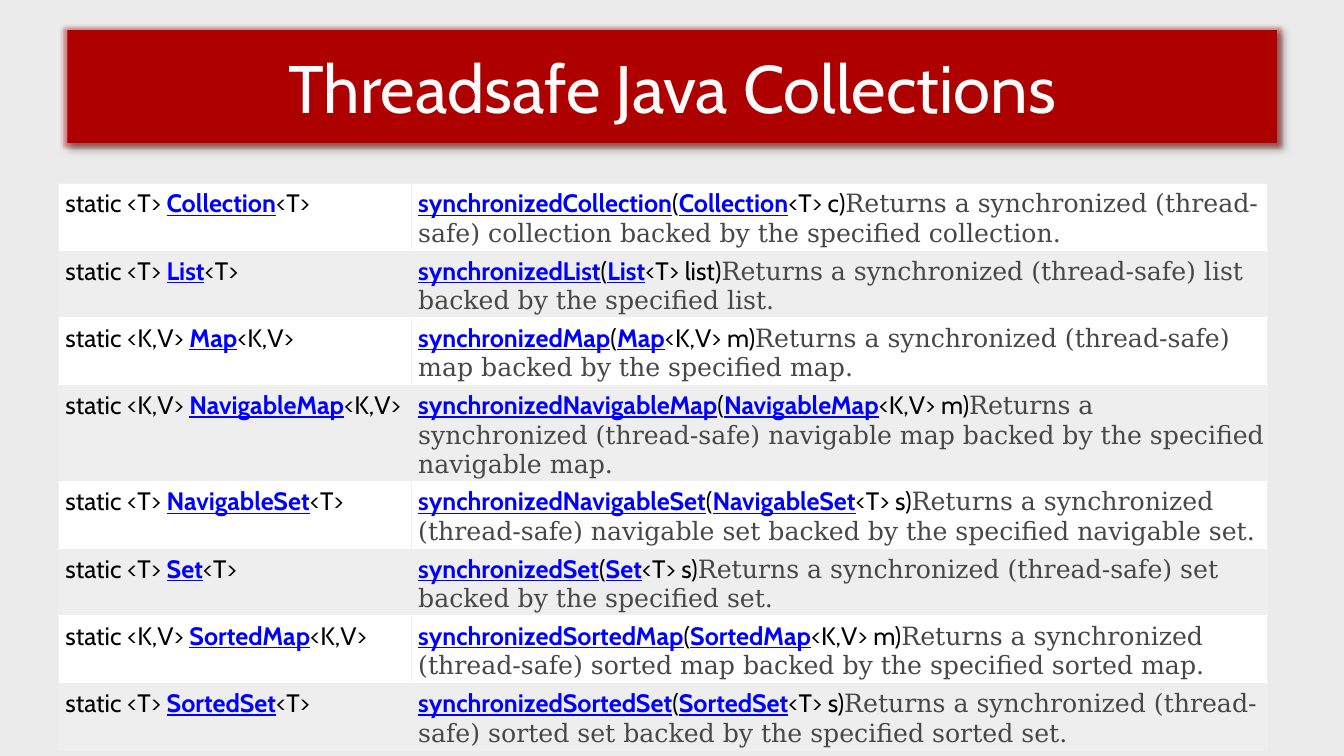
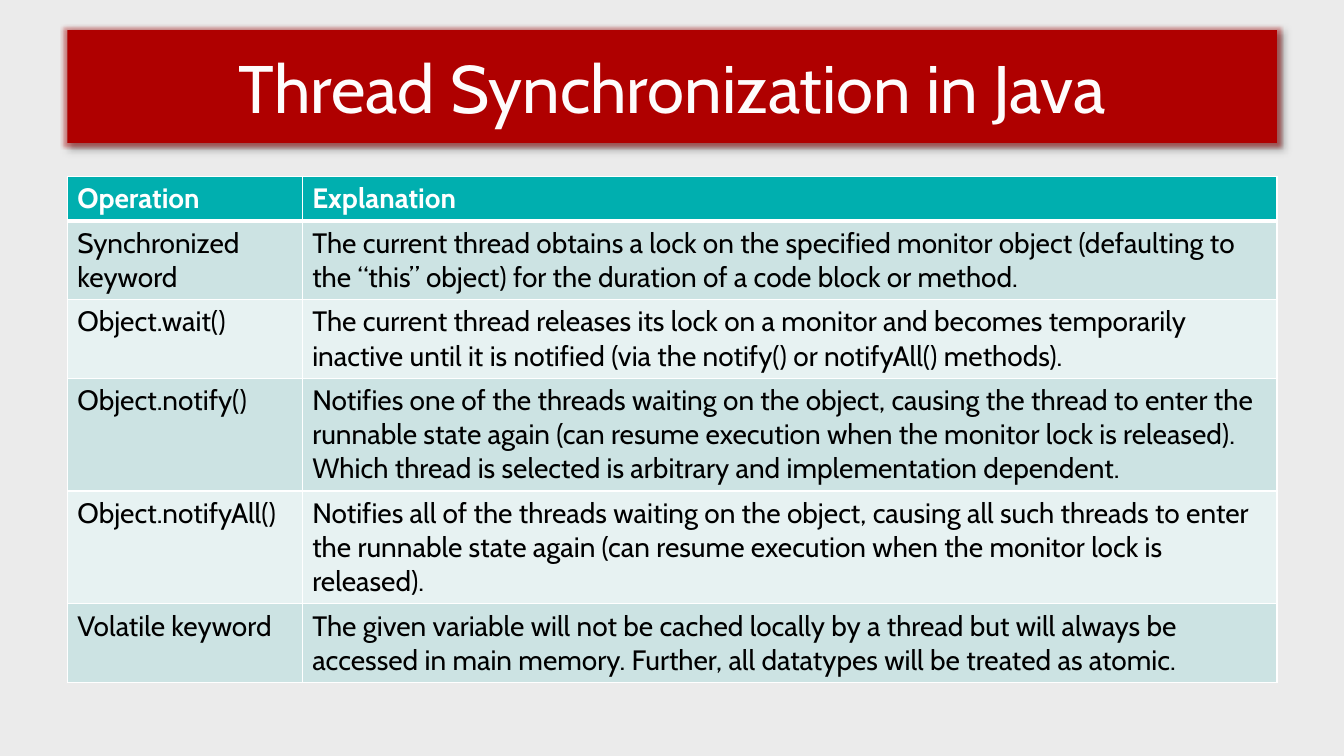
import dataclasses
import typing

import lxml.etree
import pptx
import pptx.dml.color
import pptx.enum.text
import pptx.oxml.ns
import pptx.util

Cm = pptx.util.Cm
Pt = pptx.util.Pt
qn = pptx.oxml.ns.qn


@dataclasses.dataclass(frozen=True)
class Theme:
    background: str = "EBEBEB"
    banner: str = "AF0000"
    shadow: str = "000000"
    title: str = "FEFCFC"
    white: str = "FFFFFF"
    text: str = "000000"
    link: str = "0000FF"
    description: str = "474747"
    grid: str = "EEEEEE"
    listing_bands: tuple[str, str] = ("FFFFFF", "EEEEEF")
    header: str = "00AFAF"
    operation_bands: tuple[str, str] = ("CCE3E3", "E7F2F2")
    sans: str = "Cabin"
    serif: str = "DejaVu Serif"
    title_size: float = 48
    listing_size: float = 18
    operation_size: float = 20


THEME = Theme()


@dataclasses.dataclass(frozen=True)
class Span:
    text: str
    color: str = THEME.text
    font: str = THEME.sans
    bold: bool = False
    underline: bool = False


@dataclasses.dataclass(frozen=True)
class Row:
    cells: tuple[list[Span], list[Span]]
    height: float
    fill: str
    bottom_border: float


@dataclasses.dataclass(frozen=True)
class TableStyle:
    left: float
    top: float
    columns: tuple[float, float]
    margins: tuple[float, float, float, float]
    text_size: float
    border_color: str
    border_width: float


@dataclasses.dataclass(frozen=True)
class Wrapper:
    kind: str
    generic: str
    parameter: str
    noun: str
    height: float = 1.63


@dataclasses.dataclass(frozen=True)
class Operation:
    name: str
    explanation: str
    height: float = 1.78


LISTING = TableStyle(
    left=1.47, top=4.62, columns=(8.89, 21.59),
    margins=(0.18, 0.13, 0.05, 0.05), text_size=THEME.listing_size,
    border_color=THEME.grid, border_width=0.75,
)
OPERATION_TABLE = TableStyle(
    left=1.7, top=4.45, columns=(5.92, 24.56),
    margins=(0.25, 0.13, 0.25, 0.13), text_size=THEME.operation_size,
    border_color=THEME.white, border_width=1,
)

WRAPPERS = [
    Wrapper("Collection", "<T>", "c", "collection"),
    Wrapper("List", "<T>", "list", "list"),
    Wrapper("Map", "<K,V>", "m", "map"),
    Wrapper("NavigableMap", "<K,V>", "m", "navigable map", height=2.29),
    Wrapper("NavigableSet", "<T>", "s", "navigable set"),
    Wrapper("Set", "<T>", "s", "set"),
    Wrapper("SortedMap", "<K,V>", "m", "sorted map"),
    Wrapper("SortedSet", "<T>", "s", "sorted set"),
]

OPERATIONS = [
    Operation(
        "Synchronized keyword",
        "The current thread obtains a lock on the specified monitor object (defaulting to "
        "the \u201cthis\u201d object) for the duration of a code block or method.",
    ),
    Operation(
        "Object.wait()",
        "The current thread releases its lock on a monitor and becomes temporarily inactive "
        "until it is notified (via the notify() or notifyAll() methods).",
    ),
    Operation(
        "Object.notify()",
        "Notifies one of the threads waiting on the object, causing the thread to enter the "
        "runnable state again (can resume execution when the monitor lock is released). "
        "Which thread is selected is arbitrary and implementation dependent.",
        height=2.64,
    ),
    Operation(
        "Object.notifyAll()",
        "Notifies all of the threads waiting on the object, causing all such threads to enter "
        "the runnable state again (can resume execution when the monitor lock is released).",
        height=2.64,
    ),
    Operation(
        "Volatile keyword",
        "The given variable will not be cached locally by a thread but will always be accessed "
        "in main memory. Further, all datatypes will be treated as atomic.",
    ),
]


def rgb(color: str) -> pptx.dml.color.RGBColor:
    return pptx.dml.color.RGBColor.from_string(color)


def add_xml(parent: typing.Any, tag: str, **attributes: object) -> typing.Any:
    values = {name: str(value) for name, value in attributes.items()}
    return lxml.etree.SubElement(parent, qn(tag), values)


def add_color(parent: typing.Any, color: str, opacity: int = 100) -> None:
    node = add_xml(parent, "a:srgbClr", val=color)
    if opacity < 100:
        add_xml(node, "a:alpha", val=opacity * 1000)


def add_line(parent: typing.Any, tag: str, color: str, width: float) -> typing.Any:
    line = add_xml(parent, tag, w=int(Pt(width)))
    add_color(add_xml(line, "a:solidFill"), color)
    return line


def add_banner_effects(properties: typing.Any) -> None:
    effects = add_xml(properties, "a:effectLst")
    glow = add_xml(effects, "a:glow", rad=int(Pt(5)))
    add_color(glow, THEME.banner, 40)
    shadow = add_xml(effects, "a:outerShdw", blurRad=int(Pt(4)), dist=int(Pt(3)),
                     dir=45 * 60000, algn="tl", rotWithShape=0)
    add_color(shadow, THEME.shadow, 40)


def add_titled_slide(deck: typing.Any, title: str) -> typing.Any:
    page = deck.slides.add_slide(deck.slide_layouts.get_by_name("Title Only"))
    banner = page.shapes.title
    banner.left, banner.top = Cm(1.7), Cm(0.76)
    banner.width, banner.height = Cm(30.48), Cm(2.84)
    banner.fill.solid()
    banner.fill.fore_color.rgb = rgb(THEME.banner)
    add_banner_effects(banner.element.spPr)
    frame = banner.text_frame
    frame.text = title
    frame.word_wrap = False
    frame.auto_size = pptx.enum.text.MSO_AUTO_SIZE.NONE
    frame.vertical_anchor = pptx.enum.text.MSO_ANCHOR.MIDDLE
    para = frame.paragraphs[0]
    para.alignment = pptx.enum.text.PP_ALIGN.CENTER
    font = para.runs[0].font
    font.name = THEME.sans
    font.size = Pt(THEME.title_size)
    font.color.rgb = rgb(THEME.title)
    properties = para.runs[0]._r.get_or_add_rPr()
    properties.insert(0, add_line(properties, "a:ln", THEME.white, 0.75))
    return page


def write_spans(para: typing.Any, spans: list[Span], size: float) -> None:
    for span in spans:
        run = para.add_run()
        run.text = span.text
        run.font.name = span.font
        run.font.size = Pt(size)
        run.font.bold = span.bold
        run.font.underline = span.underline
        run.font.color.rgb = rgb(span.color)


def format_cell(cell: typing.Any, row: Row, style: TableStyle, first: bool) -> None:
    left, top, right, bottom = style.margins
    cell.margin_left, cell.margin_top = Cm(left), Cm(top)
    cell.margin_right, cell.margin_bottom = Cm(right), Cm(bottom)
    borders = {"a:lnL": style.border_width, "a:lnR": style.border_width}
    if first:
        borders["a:lnT"] = style.border_width
    borders["a:lnB"] = row.bottom_border
    properties = cell._tc.get_or_add_tcPr()
    for tag, width in borders.items():
        add_line(properties, tag, style.border_color, width)
    cell.fill.solid()
    cell.fill.fore_color.rgb = rgb(row.fill)


def add_styled_table(page: typing.Any, style: TableStyle, rows: list[Row]) -> None:
    table = page.shapes.add_table(
        len(rows), len(style.columns), Cm(style.left), Cm(style.top),
        Cm(sum(style.columns)), Cm(sum(row.height for row in rows)),
    ).table
    table.first_row = False
    table.horz_banding = False
    for column, width in zip(table.columns, style.columns):
        column.width = Cm(width)
    for index, row in enumerate(rows):
        table.rows[index].height = Cm(row.height)
        for cell, spans in zip(table.rows[index].cells, row.cells):
            format_cell(cell, row, style, first=index == 0)
            write_spans(cell.text_frame.paragraphs[0], spans, style.text_size)


def link(text: str) -> Span:
    return Span(text, color=THEME.link, bold=True, underline=True)


def wrapper_row(index: int, wrapper: Wrapper) -> Row:
    signature = [
        Span(f"static {wrapper.generic}\u00a0"),
        link(wrapper.kind),
        Span(wrapper.generic),
    ]
    method = [
        link(f"synchronized{wrapper.kind}"),
        Span("("),
        link(wrapper.kind),
        Span(f"{wrapper.generic}\u00a0{wrapper.parameter})"),
        Span(
            f"Returns a synchronized (thread-safe) {wrapper.noun} "
            f"backed by the specified {wrapper.noun}.",
            color=THEME.description, font=THEME.serif,
        ),
    ]
    return Row((signature, method), wrapper.height,
               THEME.listing_bands[index % 2], LISTING.border_width)


def operation_row(index: int, operation: Operation) -> Row:
    return Row(([Span(operation.name)], [Span(operation.explanation)]), operation.height,
               THEME.operation_bands[index % 2], OPERATION_TABLE.border_width)


def header_row(first: str, second: str) -> Row:
    return Row(
        ([Span(first, color=THEME.white, bold=True)],
         [Span(second, color=THEME.white, bold=True)]),
        height=1.04, fill=THEME.header, bottom_border=3,
    )


def build_deck() -> None:
    deck = pptx.Presentation()
    deck.slide_width, deck.slide_height = Cm(33.87), Cm(19.05)
    background = deck.slide_master.background.fill
    background.solid()
    background.fore_color.rgb = rgb(THEME.background)

    collections_page = add_titled_slide(deck, "Threadsafe Java Collections")
    add_styled_table(collections_page, LISTING,
                     [wrapper_row(*item) for item in enumerate(WRAPPERS)])

    synchronization_page = add_titled_slide(deck, "Thread Synchronization in Java")
    add_styled_table(synchronization_page, OPERATION_TABLE,
                     [header_row("Operation", "Explanation")]
                     + [operation_row(*item) for item in enumerate(OPERATIONS)])

    deck.save("out.pptx")


build_deck()
